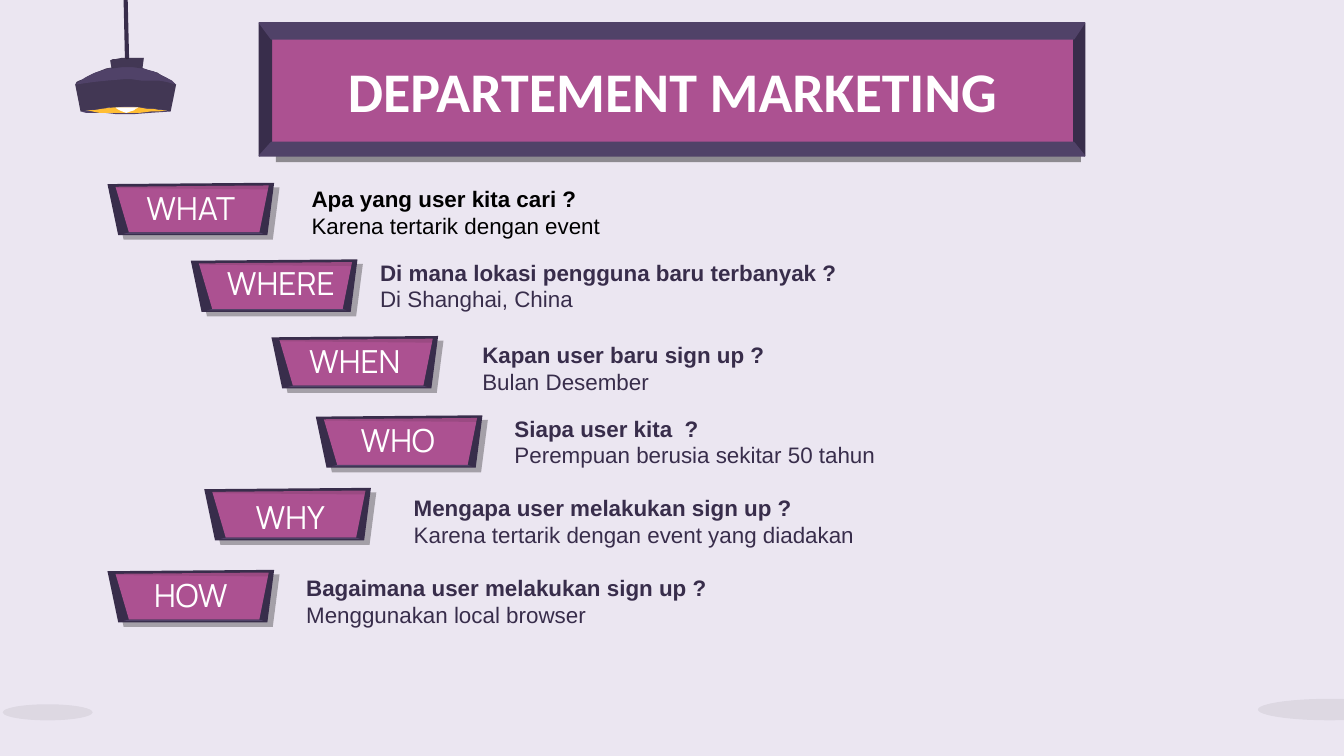
from lxml.etree import SubElement
from pptx import Presentation
from pptx.dml.color import RGBColor
from pptx.enum.shapes import MSO_SHAPE
from pptx.enum.text import MSO_ANCHOR, PP_ALIGN
from pptx.oxml.ns import qn
from pptx.util import Pt

PX = 9144  # EMU per px, 100 px to the inch
PLUM, DARK, MAGENTA = "504268", "382D4B", "AC5191"
WHITE, BLACK, SHADE, PAPER, GLOW = "FFFFFF", "000000", "191919", "EBE6F1", "FFBE34"


def px(value):
    return value * PX


def color(value):
    return RGBColor.from_string(value)


def paint(shape, fill, alpha=100, line=None, line_width=0.75):
    shape.shadow.inherit = False
    shape.fill.solid()
    shape.fill.fore_color.rgb = color(fill)
    if alpha < 100:
        rgb = shape.element.spPr.find(qn("a:solidFill"))[0]
        SubElement(rgb, qn("a:alpha"), val=str(alpha * 1000))
    if line:
        shape.line.color.rgb = color(line)
        shape.line.width = Pt(line_width)
    else:
        shape.line.fill.background()


def outline(slide, origin, points, fill, **style):
    """Closed polygon whose points are relative to origin."""
    builder = slide.shapes.build_freeform(*points[0], scale=PX)
    builder.add_line_segments(points[1:], close=True)
    shape = builder.convert_to_shape(px(origin[0]), px(origin[1]))
    paint(shape, fill, **style)
    return shape


def cast_shadow(shape, alpha, distance, angle):
    effects = shape.element.spPr.find(qn("a:effectLst"))
    shadow = SubElement(effects, qn("a:outerShdw"), blurRad="0", dist=str(Pt(distance)),
                        dir=str(angle * 60000), algn="bl", rotWithShape="0")
    rgb = SubElement(shadow, qn("a:srgbClr"), val=BLACK)
    SubElement(rgb, qn("a:alpha"), val=str(alpha * 1000))


def place(shape, box):
    shape.left, shape.top, shape.width, shape.height = map(px, box)


def write(shape, lines, size, font, ink, bold_first=False, align=PP_ALIGN.LEFT, wrap=True):
    frame = shape.text_frame
    frame.word_wrap = wrap
    frame.vertical_anchor = MSO_ANCHOR.MIDDLE
    frame.margin_left = frame.margin_right = px(10)
    frame.margin_top = frame.margin_bottom = px(10)
    for index, line in enumerate(lines):
        paragraph = frame.paragraphs[0] if index == 0 else frame.add_paragraph()
        paragraph.alignment = align
        paragraph.line_spacing = 1.0
        run = paragraph.add_run()
        run.text = line
        run.font.size = Pt(size)
        run.font.name = font
        run.font.bold = bold_first and index == 0
        run.font.color.rgb = color(ink)


def add_text(slide, box, lines, **style):
    write(slide.shapes.add_textbox(*map(px, box)), lines, **style)


def add_lamp(slide, origin):
    body = [(35, 50), (29, 50), (23, 51), (18, 53), (13, 55), (9, 57), (6, 59), (3, 60),
            (1, 61), (0, 63), (4, 83), (11, 82), (18, 81), (25, 80), (31, 80), (37, 79),
            (43, 79), (48, 80), (52, 80), (60, 81), (66, 82), (71, 83), (75, 63), (71, 60),
            (68, 58), (64, 56), (61, 54), (57, 53), (54, 52), (51, 51), (47, 50)]
    rim = [(37, 79), (31, 79), (25, 80), (18, 80), (11, 82), (4, 83), (8, 84), (22, 84),
           (31, 85), (43, 85), (56, 84), (71, 83), (66, 82), (61, 81), (57, 80), (48, 79)]
    light = [(38, 80), (28, 80), (20, 81), (14, 82), (9, 82), (13, 83), (18, 84), (48, 84),
             (56, 83), (62, 83), (68, 82), (63, 82), (58, 81), (53, 81), (48, 80)]
    neck = [(39, 43), (35, 43), (30, 44), (28, 44), (26, 45), (27, 51), (35, 50), (43, 50),
            (50, 51), (51, 43)]
    cord = [(37, 0), (38, 43), (39, 43), (38, 0)]
    bulb = [(36, 80), (30, 80), (31, 81), (33, 82), (35, 83), (38, 84), (41, 83), (44, 82),
            (45, 81), (47, 80)]
    dome = [(36, 50), (29, 50), (22, 52), (15, 54), (11, 56), (7, 58), (4, 60), (0, 63),
            (7, 62), (14, 61), (24, 60), (36, 59), (42, 59), (49, 60), (62, 60), (68, 61),
            (75, 63), (72, 60), (66, 57), (62, 55), (58, 53), (53, 52), (48, 50)]
    for part, fill in ((body, PLUM), (rim, PLUM), (light, GLOW), (neck, PLUM)):
        outline(slide, origin, part, fill)
    outline(slide, origin, cord, DARK, line=DARK, line_width=1.5)
    outline(slide, origin, bulb, WHITE)
    outline(slide, origin, body, SHADE, alpha=25)
    outline(slide, origin, dome, PLUM)
    outline(slide, origin, neck, SHADE, alpha=25)


def add_floor_shadow(slide, box):
    spot = slide.shapes.add_shape(MSO_SHAPE.OVAL, *map(px, box))
    paint(spot, BLACK, alpha=6)


def add_banner(slide, box, heading):
    left, top, right, bottom = 0, 0, box[2], box[3]
    in_left, in_top, in_right, in_bottom = 9, 12, right - 8, bottom - 10
    panel = outline(slide, box, [(in_left - 2, in_top), (in_left - 2, in_bottom),
                                 (in_right, in_bottom), (in_right, in_top)], MAGENTA)
    cast_shadow(panel, 40, 11.2, 70)
    # Bevelled frame, from each outer corner to the inner one
    outer = [(left, top), (right, top), (right, bottom), (left, bottom)]
    inner = [(in_left, in_top), (in_right, in_top), (in_right, in_bottom), (in_left, in_bottom)]
    for side, fill in ((3, DARK), (1, DARK), (2, PLUM), (0, PLUM)):
        after = (side + 1) % 4
        outline(slide, box, [outer[side], inner[side], inner[after], outer[after]],
                fill, line=fill)
    # The title goes in front of the panel
    title = slide.shapes.title
    title.element.getparent().append(title.element)
    place(title, (box[0] - 114, box[1] + 25, 843, 50))
    write(title, [heading], size=30, font="Calibri", ink=WHITE, bold_first=True,
          align=PP_ALIGN.CENTER)


def add_plaque(slide, origin, word, shift=(16, -6), width=92):
    frame = outline(slide, origin, [(124, 0), (0, 1), (8, 39), (119, 39)], DARK)
    cast_shadow(frame, 29, 3.8, 40)
    outline(slide, origin, [(120, 2), (6, 3), (16, 37), (113, 37)], MAGENTA)
    outline(slide, origin, [(16, 37), (12, 38), (116, 38), (113, 37)], PLUM)
    outline(slide, origin, [(120, 2), (6, 3), (7, 4), (120, 5)], SHADE, alpha=12)
    add_text(slide, (origin[0] + shift[0], origin[1] + shift[1], width, 49), [word],
             size=17, font="Manrope", ink=WHITE, align=PP_ALIGN.CENTER, wrap=False)


def add_answer(slide, box, question, answer, ink=DARK):
    add_text(slide, box, [question, answer], size=12, font="Arial", ink=ink,
             bold_first=True)


def main():
    deck = Presentation()
    deck.slide_width = px(1000)
    deck.slide_height = deck.slide_width * 9 // 16
    slide = deck.slides.add_slide(deck.slide_layouts[5])
    slide.background.fill.solid()
    slide.background.fill.fore_color.rgb = color(PAPER)

    # Scenery
    add_lamp(slide, (56, 0))
    add_floor_shadow(slide, (2, 524, 67, 12))
    add_floor_shadow(slide, (936, 520, 107, 16))

    add_banner(slide, (193, 17, 614, 99), "DEPARTEMENT MARKETING")

    # Question words
    add_plaque(slide, (80, 136), "WHAT")
    add_plaque(slide, (142, 193), "WHERE", shift=(16, -7), width=102)
    add_plaque(slide, (202, 250), "WHEN")
    add_plaque(slide, (235, 309), "WHO", shift=(15, -6))
    add_plaque(slide, (152, 363), "WHY", shift=(18, -3))
    add_plaque(slide, (80, 424), "HOW")

    # Answers
    add_answer(slide, (222, 133, 326, 49), "Apa yang user kita cari ?",
               "Karena tertarik dengan event", ink=BLACK)
    add_answer(slide, (273, 188, 429, 49), "Di mana lokasi pengguna baru terbanyak ?",
               "Di Shanghai, China")
    add_answer(slide, (349, 254, 317, 39), "Kapan user baru sign up ?", "Bulan Desember")
    add_answer(slide, (373, 309, 340, 39), "Siapa user kita  ?",
               "Perempuan berusia sekitar 50 tahun")
    add_answer(slide, (298, 363, 390, 49), "Mengapa user melakukan sign up ?",
               "Karena tertarik dengan event yang diadakan")
    add_answer(slide, (218, 423, 334, 49), "Bagaimana user melakukan sign up ?",
               "Menggunakan local browser")

    deck.save("out.pptx")


if __name__ == "__main__":
    main()
